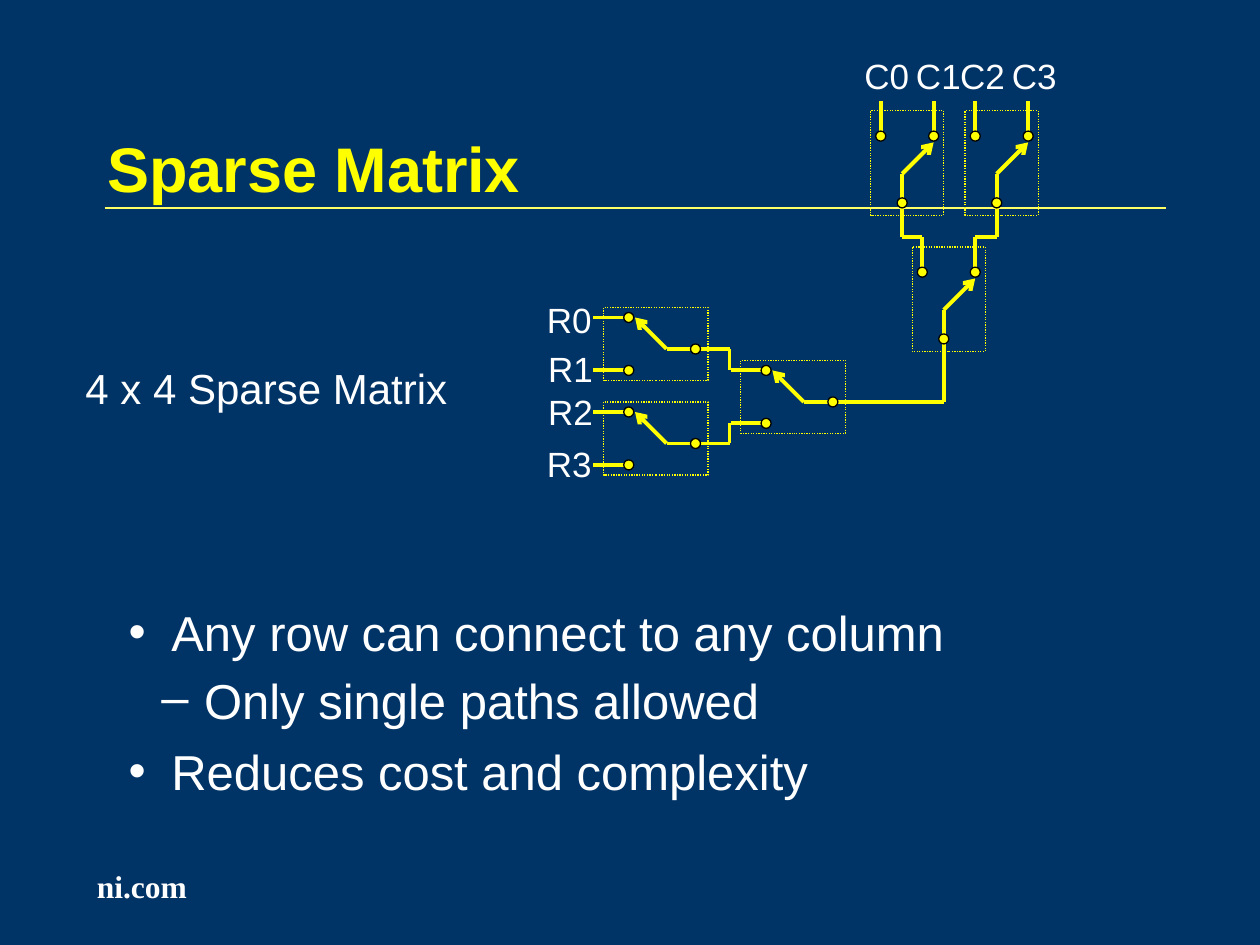
"""Build the Sparse Matrix slide: a switch diagram with its row and column labels."""
from lxml.etree import SubElement
from pptx import Presentation
from pptx.dml.color import RGBColor
from pptx.enum.dml import MSO_LINE
from pptx.enum.shapes import MSO_CONNECTOR, MSO_SHAPE
from pptx.enum.text import MSO_ANCHOR, PP_ALIGN
from pptx.oxml.ns import qn
from pptx.util import Inches, Pt

NAVY = RGBColor(0x00, 0x33, 0x66)
YELLOW = RGBColor(0xFF, 0xFF, 0x00)
PALE_YELLOW = RGBColor(0xFF, 0xFF, 0x66)
WHITE = RGBColor(0xFF, 0xFF, 0xFF)
BLACK = RGBColor(0x00, 0x00, 0x00)

BOX_LENGTH, BOX_WIDTH, DOT = 0.83, 0.58, 0.08
POLES, COMMON = (0.08, 0.5), 0.33

prs = Presentation()
prs.slide_width, prs.slide_height = Inches(10), Inches(7.5)
slide = prs.slides.add_slide(prs.slide_layouts[1])
slide.background.fill.solid()
slide.background.fill.fore_color.rgb = NAVY
shapes = slide.shapes


def add_wire(start, end, color=YELLOW, width=2.25, arrow=False):
    wire = shapes.add_connector(MSO_CONNECTOR.STRAIGHT, *map(Inches, (*start, *end)))
    wire.line.color.rgb = color
    wire.line.width = Pt(width)
    if arrow:
        SubElement(wire.line._get_or_add_ln(), qn("a:tailEnd"), type="arrow")
    SubElement(wire._element.spPr, qn("a:effectLst"))


def add_run(paragraph, text, size, color=WHITE, font="Arial", bold=False):
    run = paragraph.add_run()
    run.text = text
    run.font.name, run.font.size, run.font.bold = font, Pt(size), bold
    run.font.color.rgb = color


add_wire((0.83, 1.65), (9.25, 1.65), PALE_YELLOW, 1)

title = shapes.title
title.left, title.top, title.width, title.height = map(Inches, (0.75, 0.83, 4.67, 1))
title.text_frame.vertical_anchor = MSO_ANCHOR.MIDDLE
heading = title.text_frame.paragraphs[0]
heading.alignment = PP_ALIGN.LEFT
add_run(heading, "Sparse Matrix", 36, YELLOW, bold=True)

switches = [
    (4.79, 2.44, 1, False),
    (4.79, 3.19, 1, False),
    (5.88, 2.86, 1.61, False),
    (7.66, 0.88, 1, True),
    (6.91, 0.88, 1, True),
    (7.24, 1.96, 1.23, True),
]
for left, top, reach, upright in switches:

    def place(along, across):
        if upright:
            return left + BOX_WIDTH - across, top + along
        return left + along, top + across

    add_wire(place(0.5, COMMON), place(reach, COMMON))
    add_wire(place(0.5, COMMON), place(0.25, POLES[0]), arrow=True)
    for pole in POLES:
        add_wire(place(0.2, pole), place(-0.08, pole))

    size = (BOX_WIDTH, BOX_LENGTH) if upright else (BOX_LENGTH, BOX_WIDTH)
    relay = shapes.add_shape(MSO_SHAPE.RECTANGLE, *map(Inches, (left, top, *size)))
    relay.shadow.inherit = False
    relay.fill.background()
    relay.line.color.rgb = YELLOW
    relay.line.width = Pt(0.75)
    relay.line.dash_style = MSO_LINE.ROUND_DOT

    for along, across in ((0.2, POLES[0]), (0.2, POLES[1]), (0.73, COMMON)):
        x, y = place(along, across)
        contact = shapes.add_shape(
            MSO_SHAPE.OVAL, *map(Inches, (x - DOT / 2, y - DOT / 2, DOT, DOT))
        )
        contact.shadow.inherit = False
        contact.fill.solid()
        contact.fill.fore_color.rgb = YELLOW
        contact.line.color.rgb = BLACK
        contact.line.width = Pt(0.75)

for start, end in [
    ((5.79, 2.77), (5.79, 2.94)),
    ((5.79, 3.52), (5.79, 3.36)),
    ((7.91, 1.88), (7.74, 1.88)),
    ((7.16, 1.88), (7.32, 1.88)),
]:
    add_wire(start, end)

labels = [
    ("R0", 4.33, 2.36), ("R1", 4.34, 2.75), ("R2", 4.34, 3.09), ("R3", 4.33, 3.5),
    ("C0", 6.85, 0.42), ("C1", 7.26, 0.42), ("C2", 7.61, 0.42), ("C3", 8.02, 0.42),
]
for name, left, top in labels:
    label = shapes.add_textbox(*map(Inches, (left, top, 0.49, 0.35))).text_frame
    label.word_wrap = True
    label.margin_left = label.margin_right = Inches(0.01)
    label.margin_top = label.margin_bottom = Inches(0.01)
    add_run(label.paragraphs[0], name, 20)

caption = shapes.add_textbox(*map(Inches, (0.58, 2.83, 3.58, 0.5))).text_frame
caption.word_wrap = True
add_run(caption.paragraphs[0], "4 x 4 Sparse Matrix", 24)

points = slide.placeholders[1]
points.left, points.top, points.width, points.height = map(Inches, (0.92, 4.82, 7.58, 1.58))
for index, (text, level, bullet, margin, spacing, before) in enumerate([
    ("Any row can connect to any column", 0, "•", 0.34, 0.8, 0),
    ("Only single paths allowed", 1, "–", 0.6, 0.6, 17.5),
    ("Reduces cost and complexity", 0, "•", 0.34, 0.8, 15),
]):
    frame = points.text_frame
    point = frame.add_paragraph() if index else frame.paragraphs[0]
    point.level = level
    point.line_spacing = spacing
    point.space_before = Pt(before)
    properties = point._p.get_or_add_pPr()
    properties.set("marL", str(Inches(margin)))
    properties.set("indent", str(Inches(-0.34)))
    bullet_color = SubElement(properties, qn("a:buClr"))
    SubElement(bullet_color, qn("a:srgbClr"), val=str(WHITE))
    SubElement(properties, qn("a:buFont"), typeface="Arial")
    SubElement(properties, qn("a:buChar"), char=bullet)
    add_run(point, text, 28)

footer = shapes.add_textbox(*map(Inches, (0.67, 6.83, 1.2, 0.4))).text_frame
footer.word_wrap = True
add_run(footer.paragraphs[0], "ni.com", 18, font="Times New Roman", bold=True)

prs.save("out.pptx")
